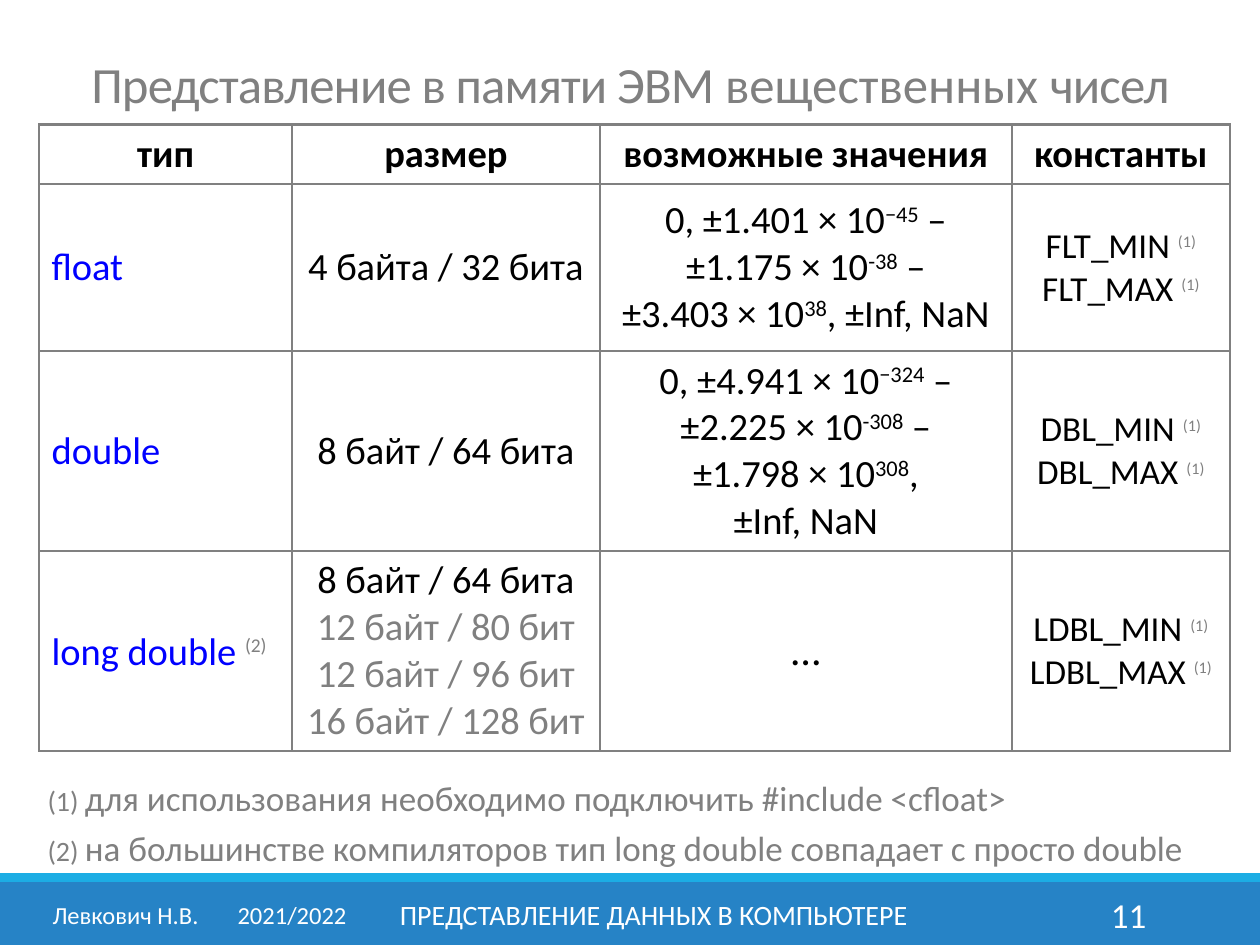
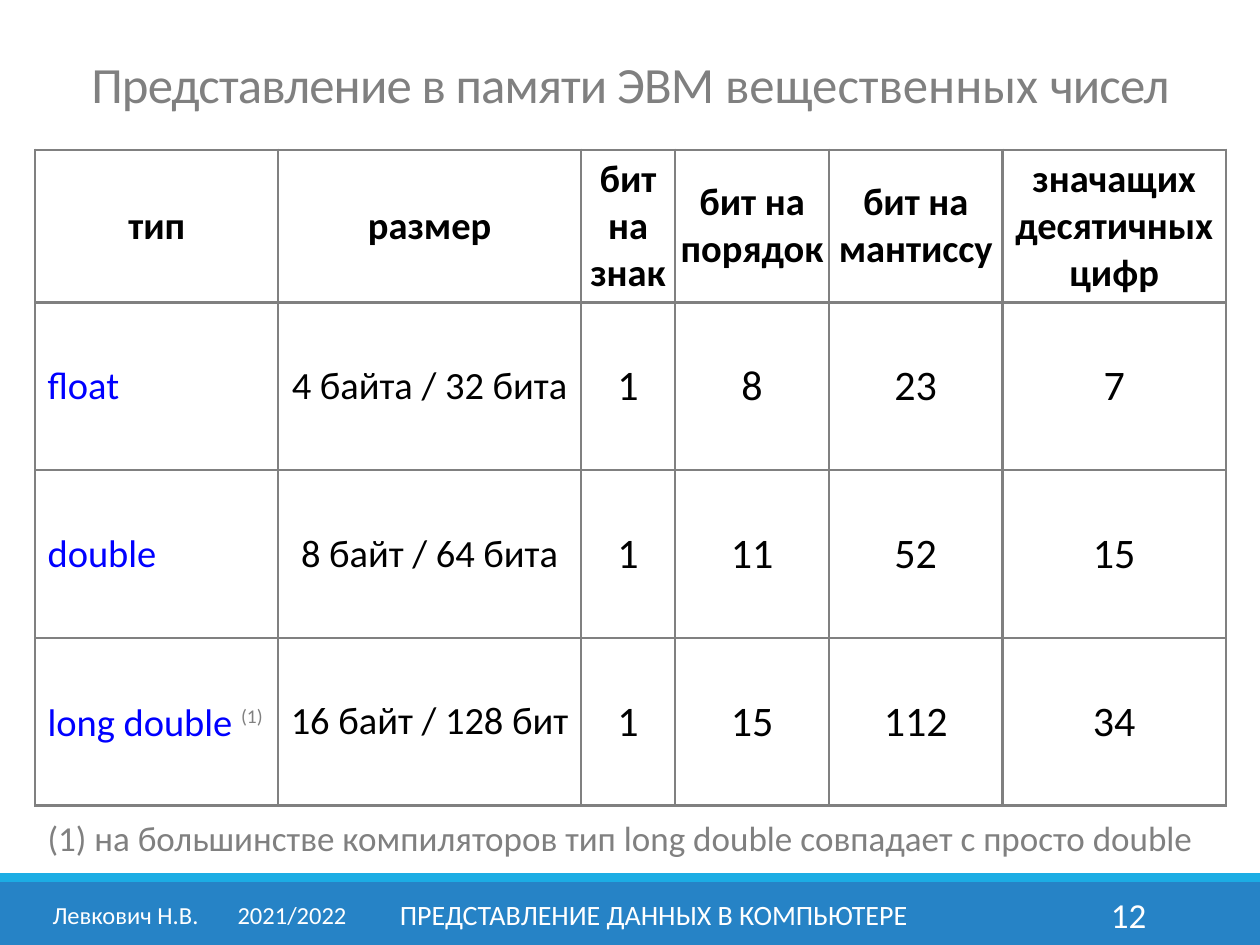
"""Build two slides on how real numbers are represented in memory."""
from lxml import etree
from pptx import Presentation
from pptx.dml.color import RGBColor
from pptx.enum.shapes import MSO_SHAPE
from pptx.enum.text import MSO_ANCHOR, MSO_AUTO_SIZE, PP_ALIGN
from pptx.oxml.ns import qn
from pptx.util import Cm, Pt

RECTANGLE = MSO_SHAPE.RECTANGLE
MIDDLE, TOP = MSO_ANCHOR.MIDDLE, MSO_ANCHOR.TOP
LEFT, CENTER, RIGHT = PP_ALIGN.LEFT, PP_ALIGN.CENTER, PP_ALIGN.RIGHT
NO_AUTOFIT = MSO_AUTO_SIZE.NONE

WHITE = RGBColor(0xFF, 0xFF, 0xFF)
BLACK = RGBColor(0, 0, 0)
GREY = RGBColor(0x80, 0x80, 0x80)
KEYWORD_BLUE = RGBColor(0, 0, 0xFF)
BAND_BLUE = RGBColor(0x26, 0x83, 0xC6)
STRIPE_BLUE = RGBColor(0x1C, 0xAD, 0xE4)

FONT = "Calibri"
TITLE_ONLY = 5
TITLE_PARTS = [
    ("Представление в памяти ЭВМ ", "-50"),
    ("вещественных ", "0"),
    ("чисел", "-50"),
]
SAME_AS_DOUBLE = "на большинстве компиляторов тип long double совпадает с просто double"

HEADER = {"size": 22, "color": BLACK, "bold": True}
TYPE = {"size": 22, "color": KEYWORD_BLUE, "mark_size": 24}
BODY = {"size": 22, "color": BLACK}
CONSTANT = {"size": 20, "color": BLACK, "mark_size": 20}
NUMBER = {"size": 24, "color": BLACK}

RANGES = [
    ["тип", "размер", "возможные значения", "константы"],
    ["float", "4 байта / 32 бита",
     "0, ±1.401 × 10^−45^ –\n±1.175 × 10^-38^ –\n±3.403 × 10^38^, ±Inf, NaN",
     "FLT_MIN ^(1)^\nFLT_MAX ^(1)^"],
    ["double", "8 байт / 64 бита",
     "0, ±4.941 × 10^−324^ –\n±2.225 × 10^-308^ –\n±1.798 × 10^308^,\n±Inf, NaN",
     "DBL_MIN ^(1)^\nDBL_MAX ^(1)^"],
    ["long double ^(2)^", "8 байт / 64 бита", "…",
     "LDBL_MIN ^(1)^\nLDBL_MAX ^(1)^"],
]
OTHER_LONG_DOUBLES = "12 байт / 80 бит\n12 байт / 96 бит\n16 байт / 128 бит"
BITS = [
    ["тип", "размер", "бит на знак", "бит на порядок", "бит на мантиссу",
     "значащих десятичных цифр"],
    ["float", "4 байта / 32 бита", "1", "8", "23", "7"],
    ["double", "8 байт / 64 бита", "1", "11", "52", "15"],
    ["long double ^(1)^", "16 байт / 128 бит", "1", "15", "112", "34"],
]


def add_run(paragraph, text, size, color, bold=False, **attributes):
    """Append a run; extra attributes go to its run properties."""
    run = paragraph.add_run()
    run.text = text
    run.font.color.rgb = color
    formats = {"name": FONT, "size": Pt(size), "bold": bold}
    for name, value in formats.items():
        setattr(run.font, name, value)
    for name, value in attributes.items():
        run.font._element.set(name, value)


def write_rich(paragraph, text, size, color, bold=False, mark_size=None):
    """Write lines in which ^...^ encloses exponents and note marks."""
    for line_number, line in enumerate(text.split("\n")):
        if line_number:
            paragraph.add_line_break()
        for position, part in enumerate(line.split("^")):
            if not part:
                continue
            if position % 2 == 0:
                add_run(paragraph, part, size, color, bold)
            elif part.startswith("("):
                add_run(paragraph, part, mark_size, GREY, baseline="30000", cap="small")
            else:
                add_run(paragraph, part, size, color, baseline="30000")


def add_text(slide, box, align=LEFT, anchor=MIDDLE):
    """Add an empty wrapping text box and return its paragraph."""
    frame = slide.shapes.add_textbox(*map(Cm, box)).text_frame
    frame.word_wrap = True
    frame.vertical_anchor = anchor
    frame.paragraphs[0].alignment = align
    return frame.paragraphs[0]


def add_band(slide, top, height, color):
    """Add a full-width band."""
    band = slide.shapes.add_shape(RECTANGLE, 0, Cm(top), Cm(25.4), Cm(height))
    band.shadow.inherit = False
    band.fill.solid()
    band.fill.fore_color.rgb = color
    band.line.fill.background()


def add_footer(slide, number):
    """Add the bands, author, year, lecture name and slide number."""
    add_band(slide, 17.78, 1.27, BAND_BLUE)
    add_band(slide, 17.6, 0.18, STRIPE_BLUE)
    top, height = 17.93, 1.02
    page = add_text(slide, (20.62, top, 2.74, height), RIGHT)
    add_run(page, str(number), 20, WHITE)
    author = add_text(slide, (0.81, top, 6.63, height))
    add_run(author, "Левкович Н.В.\t2021/2022", 14, WHITE)
    tabs = etree.SubElement(author._p.get_or_add_pPr(), qn("a:tabLst"))
    etree.SubElement(tabs, qn("a:tab"), pos=str(Cm(3.73)), algn="l")
    lecture = add_text(slide, (7.67, top, 11.02, height), CENTER)
    add_run(lecture, "ПРЕДСТАВЛЕНИЕ ДАННЫХ В КОМПЬЮТЕРЕ", 16, WHITE)


def set_title(slide):
    """Place and write the title."""
    title = slide.shapes.title
    places = {"left": 0.71, "top": 1.32, "width": 24, "height": 0.89}
    for name, value in places.items():
        setattr(title, name, Cm(value))
    frame = title.text_frame
    formats = {"margin_left": 0, "margin_top": 0, "margin_right": 0, "margin_bottom": 0,
               "vertical_anchor": MIDDLE, "auto_size": NO_AUTOFIT, "word_wrap": True}
    for name, value in formats.items():
        setattr(frame, name, value)
    heading = frame.paragraphs[0]
    heading.alignment = CENTER
    heading.line_spacing = 0.85
    for text, spacing in TITLE_PARTS:
        add_run(heading, text, 29, GREY, spc=spacing)


def style_cell(cell, left_margin):
    """Give a cell its grey borders, white fill and margins."""
    properties = cell._tc.get_or_add_tcPr()
    for side in ("lnL", "lnR", "lnT", "lnB"):
        border = etree.SubElement(properties, qn(f"a:{side}"), w=str(Pt(1.5)))
        fill = etree.SubElement(border, qn("a:solidFill"))
        etree.SubElement(fill, qn("a:srgbClr"), val=str(GREY))
    cell.fill.solid()
    cell.fill.fore_color.rgb = WHITE
    formats = {"margin_left": Cm(left_margin), "margin_right": Cm(0.1),
               "vertical_anchor": MIDDLE}
    for name, value in formats.items():
        setattr(cell, name, value)


def add_type_table(slide, left, top, widths, heights, rows, column_styles):
    """Add a table whose first column lists the types."""
    table = slide.shapes.add_table(
        len(rows), len(widths), Cm(left), Cm(top), Cm(sum(widths)), Cm(sum(heights))).table
    table.first_row = table.horz_banding = False
    for column, width in zip(table.columns, widths):
        column.width = Cm(width)
    for row, height in zip(table.rows, heights):
        row.height = Cm(height)
    for row_index, texts in enumerate(rows):
        for column_index, text in enumerate(texts):
            cell = table.cell(row_index, column_index)
            is_type = row_index > 0 and column_index == 0
            style_cell(cell, 0.25 if is_type else 0.1)
            paragraph = cell.text_frame.paragraphs[0]
            paragraph.alignment = LEFT if is_type else CENTER
            style = column_styles[column_index] if row_index else HEADER
            write_rich(paragraph, text, **(NUMBER if text == "…" else style))
    return table


def add_footnote(slide, top, mark, text, **mark_attributes):
    """Add a grey footnote under the table."""
    note = add_text(slide, (0.71, top, 23.9, 1.12), anchor=TOP)
    add_run(note, f"{mark} ", 20, GREY, **mark_attributes)
    add_run(note, text, 20, GREY)


def add_lecture_slide(deck, number):
    """Add a slide with the shared title and footer."""
    slide = deck.slides.add_slide(deck.slide_layouts[TITLE_ONLY])
    add_footer(slide, number)
    set_title(slide)
    return slide


def build_ranges(deck):
    """Build the slide on value ranges."""
    slide = add_lecture_slide(deck, 11)
    table = add_type_table(slide, 0.79, 2.51, [5.1, 6.2, 8.31, 4.39],
                           [1.2, 3.37, 4.03, 4.03], RANGES, [TYPE, BODY, BODY, CONSTANT])
    others = table.cell(3, 1).text_frame.add_paragraph()
    others.alignment = CENTER
    write_rich(others, OTHER_LONG_DOUBLES, 22, GREY)
    add_footnote(slide, 15.52, "(1)",
                 "для использования необходимо подключить #include <cfloat>", cap="small")
    add_footnote(slide, 16.54, "(2)", SAME_AS_DOUBLE, cap="small")


def build_bits(deck):
    """Build the slide on the distribution of bits."""
    slide = add_lecture_slide(deck, 12)
    add_type_table(slide, 0.71, 3.02, [4.9, 6.1, 1.9, 3.1, 3.5, 4.5],
                   [3.08] + [3.38] * 3, BITS, [TYPE, BODY] + [NUMBER] * 4)
    add_footnote(slide, 16.33, "(1)", SAME_AS_DOUBLE)


def main():
    """Create and save the presentation."""
    deck = Presentation()
    deck.slide_width, deck.slide_height = Cm(25.4), Cm(19.05)
    build_ranges(deck)
    build_bits(deck)
    deck.save("out.pptx")


if __name__ == "__main__":
    main()
